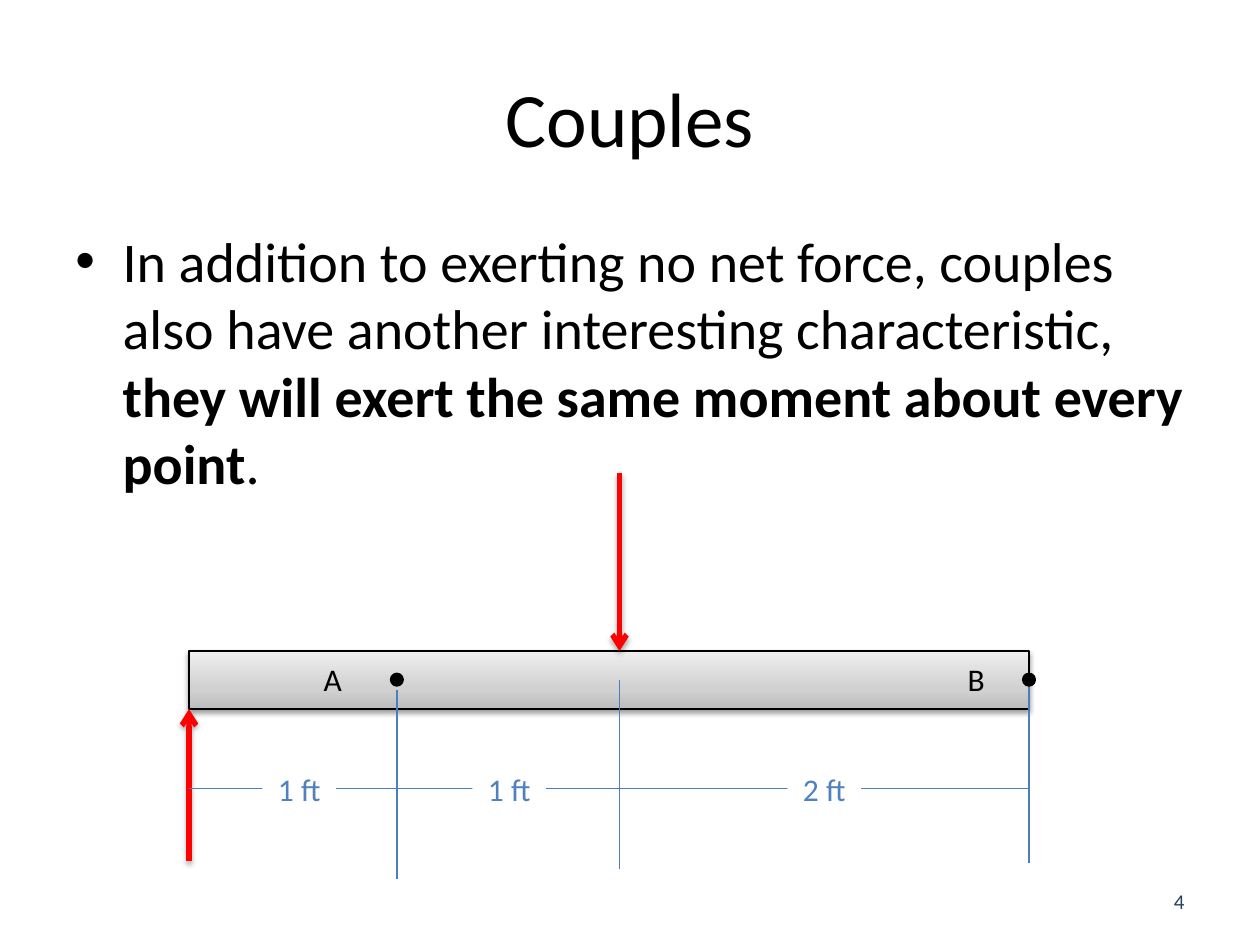
import pptx
import pptx.util
from lxml import etree
from pptx.dml.color import RGBColor
from pptx.enum.shapes import MSO_CONNECTOR, MSO_SHAPE
from pptx.enum.text import MSO_ANCHOR, MSO_AUTO_SIZE, PP_ALIGN
from pptx.oxml import parse_xml
from pptx.oxml.ns import nsdecls, qn

Pt = pptx.util.Pt
BLACK = RGBColor(0x00, 0x00, 0x00)
WHITE = RGBColor(0xFF, 0xFF, 0xFF)
RED = RGBColor(0xFF, 0x00, 0x00)
LINE_BLUE = RGBColor(0x4B, 0x7E, 0xBC)
TEXT_BLUE = RGBColor(0x4F, 0x81, 0xBD)
NAVY = RGBColor(0x25, 0x40, 0x61)

# Content
TITLE = "Couples"
BODY = [
    ("In addition to exerting no net force, couples also have another "
     "interesting characteristic, ", False),
    ("they will exert the same moment about every point", True),
    (".", False),
]
PAGE_NUMBER = "4"

# Beam geometry, in points
LEFT, MIDDLE, RIGHT, POINT_A = 108, 354, 588, 226.8
BEAM_TOP, BEAM_BOTTOM = 372, 405.2
DIMENSION_Y = 450.7
DOT = 6
BEAM_STOPS = [(0, "BDBDBD"), (35, "D1D1D1"), (100, "EEEEEE")]
FORCES = [(LEFT, 492, BEAM_BOTTOM), (MIDDLE, 270, BEAM_TOP)]
WITNESS_LINES = [(MIDDLE, 388.8), (RIGHT, 385.2), (POINT_A, 394.2)]
WITNESS_LENGTH = 108
POINTS = [("A", 177.8, POINT_A), ("B", 545.8, RIGHT)]
DIMENSIONS = [("1 ft", 171), ("1 ft", 291), ("2 ft", 471)]

deck = pptx.Presentation()
deck.slide_width, deck.slide_height = Pt(720), Pt(540)
page = deck.slides.add_slide(deck.slide_layouts[5])


def write(para, text, size, color, bold=False):
    span = para.add_run()
    span.text = text
    font = span.font
    font.name, font.size, font.bold = "Calibri", Pt(size), bold
    font.color.rgb = color


def add_box(left, top, width, height, wrap=True):
    box = page.shapes.add_textbox(Pt(left), Pt(top), Pt(width), Pt(height))
    box.text_frame.word_wrap = wrap
    return box.text_frame


def add_shape(kind, left, top, width, height):
    shape = page.shapes.add_shape(kind, Pt(left), Pt(top), Pt(width), Pt(height))
    shape.shadow.inherit = False
    return shape


def set_shadow(properties, alpha, distance):
    for old in properties.findall(qn("a:effectLst")):
        properties.remove(old)
    properties.append(parse_xml(
        f'<a:effectLst {nsdecls("a")}><a:outerShdw blurRad="{Pt(3.1)}" '
        f'dist="{Pt(distance)}" dir="5400000" rotWithShape="0">'
        f'<a:srgbClr val="000000"><a:alpha val="{alpha * 1000}"/></a:srgbClr>'
        '</a:outerShdw></a:effectLst>'))


def add_line(x1, y1, x2, y2, color, width):
    line = page.shapes.add_connector(
        MSO_CONNECTOR.STRAIGHT, Pt(x1), Pt(y1), Pt(x2), Pt(y2))
    line.line.color.rgb = color
    line.line.width = Pt(width)
    properties = line._element.spPr
    etree.SubElement(properties, qn("a:effectLst"))
    return properties


# Title
title = page.shapes.title
title.left, title.top, title.width, title.height = Pt(36), Pt(21.6), Pt(648), Pt(90)
title.text_frame.vertical_anchor = MSO_ANCHOR.MIDDLE
para = title.text_frame.paragraphs[0]
para.alignment = PP_ALIGN.CENTER
write(para, TITLE, 44, BLACK)

# Bulleted statement
para = add_box(36, 126, 648, 216).paragraphs[0]
indents = para._p.get_or_add_pPr()
indents.set("marL", str(Pt(27)))
indents.set("indent", str(-Pt(27)))
etree.SubElement(indents, qn("a:buFont")).set("typeface", "Arial")
etree.SubElement(indents, qn("a:buChar")).set("char", "•")
for text, bold in BODY:
    write(para, text, 32, BLACK, bold)

# Page number
frame = add_box(516, 500.5, 168, 28.75)
frame.vertical_anchor = MSO_ANCHOR.MIDDLE
para = frame.paragraphs[0]
para.alignment = PP_ALIGN.RIGHT
write(para, PAGE_NUMBER, 12, NAVY)

# Beam
beam = add_shape(MSO_SHAPE.RECTANGLE, LEFT, BEAM_TOP, RIGHT - LEFT, BEAM_BOTTOM - BEAM_TOP)
beam.fill.gradient()
beam.fill.gradient_angle = 90
stops = beam._element.spPr.find(qn("a:gradFill")).find(qn("a:gsLst"))
for old in list(stops):
    stops.remove(old)
for position, color in BEAM_STOPS:
    stop = etree.SubElement(stops, qn("a:gs"))
    stop.set("pos", str(position * 1000))
    etree.SubElement(stop, qn("a:srgbClr")).set("val", color)
beam.line.color.rgb = BLACK
beam.line.width = Pt(0.75)
set_shadow(beam._element.spPr, 38, 1.6)

# Force arrows
for x, start, end in FORCES:
    properties = add_line(x, start, x, end, RED, 3)
    etree.SubElement(properties.find(qn("a:ln")), qn("a:tailEnd")).set("type", "arrow")
    set_shadow(properties, 35, 1.8)

# Dimension and witness lines
add_line(RIGHT, DIMENSION_Y, LEFT, DIMENSION_Y, LINE_BLUE, 0.75)
for x, top in WITNESS_LINES:
    add_line(x, top, x, top + WITNESS_LENGTH, LINE_BLUE, 0.75)

# Points A and B
for name, label_left, x in POINTS:
    dot = add_shape(MSO_SHAPE.OVAL, x - DOT / 2, 385.4, DOT, DOT)
    dot.fill.solid()
    dot.fill.fore_color.rgb = BLACK
    dot.line.color.rgb = BLACK
    dot.line.width = Pt(2)
    frame = add_box(label_left, 373.8, 27, 29, wrap=False)
    frame.auto_size = MSO_AUTO_SIZE.SHAPE_TO_FIT_TEXT
    write(frame.paragraphs[0], name, 18, BLACK)

# Dimension labels
for text, center in DIMENSIONS:
    label = add_shape(MSO_SHAPE.RECTANGLE, center - 21, 436.2, 42, 29)
    label.fill.solid()
    label.fill.fore_color.rgb = WHITE
    label.line.fill.background()
    frame = label.text_frame
    frame.word_wrap = True
    frame.auto_size = MSO_AUTO_SIZE.SHAPE_TO_FIT_TEXT
    frame.vertical_anchor = MSO_ANCHOR.TOP
    para = frame.paragraphs[0]
    para.alignment = PP_ALIGN.CENTER
    write(para, text, 18, TEXT_BLUE)

deck.save("out.pptx")
